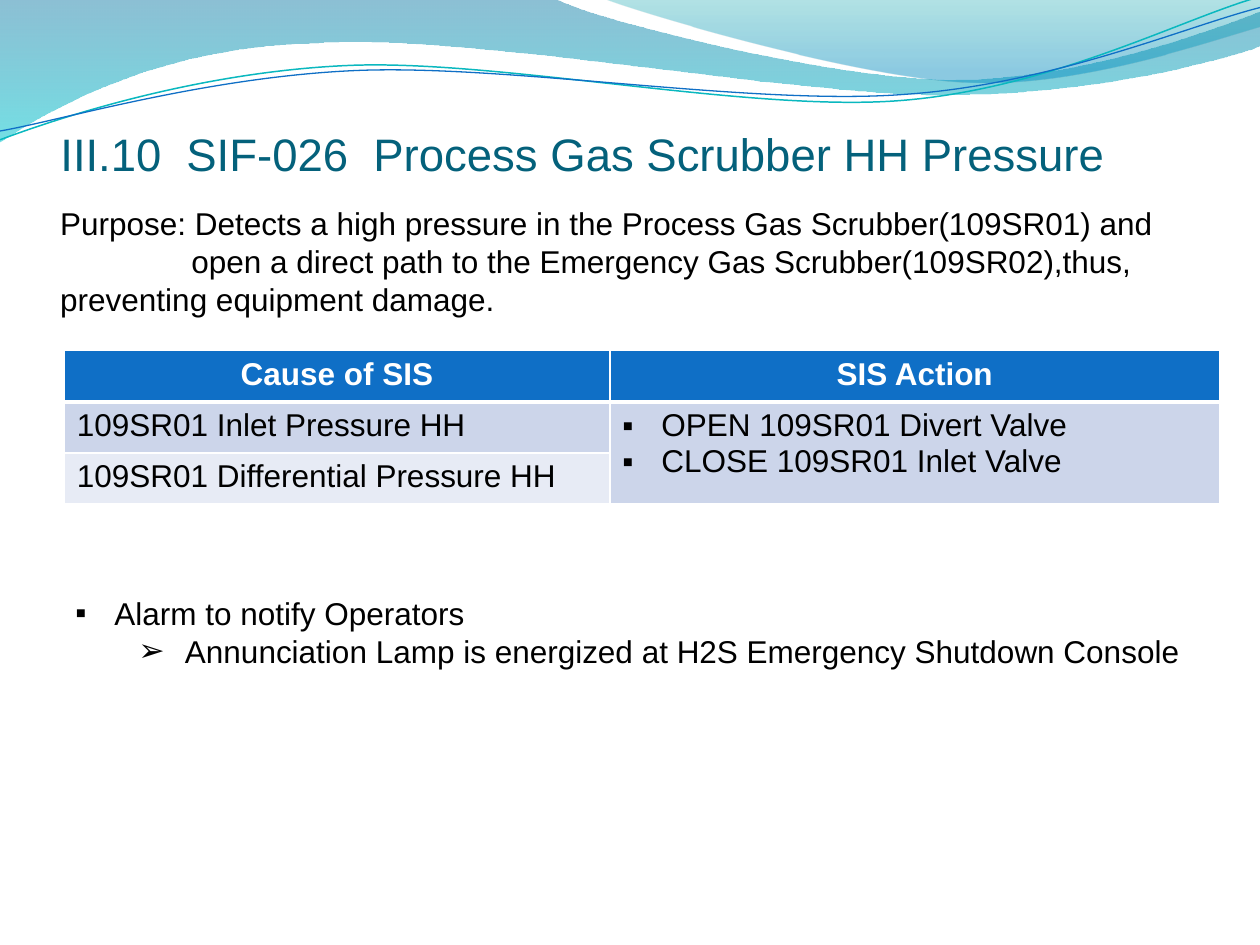
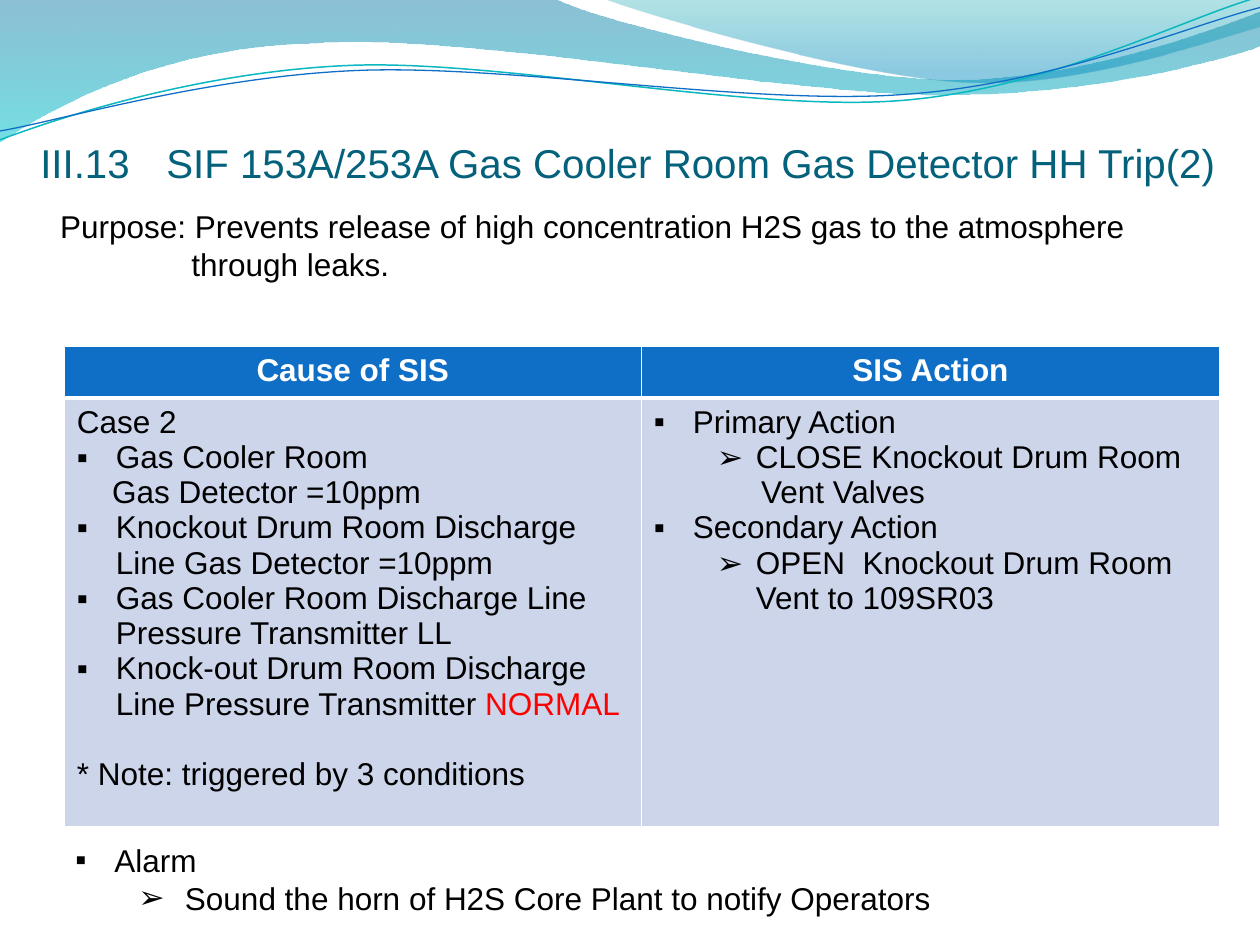
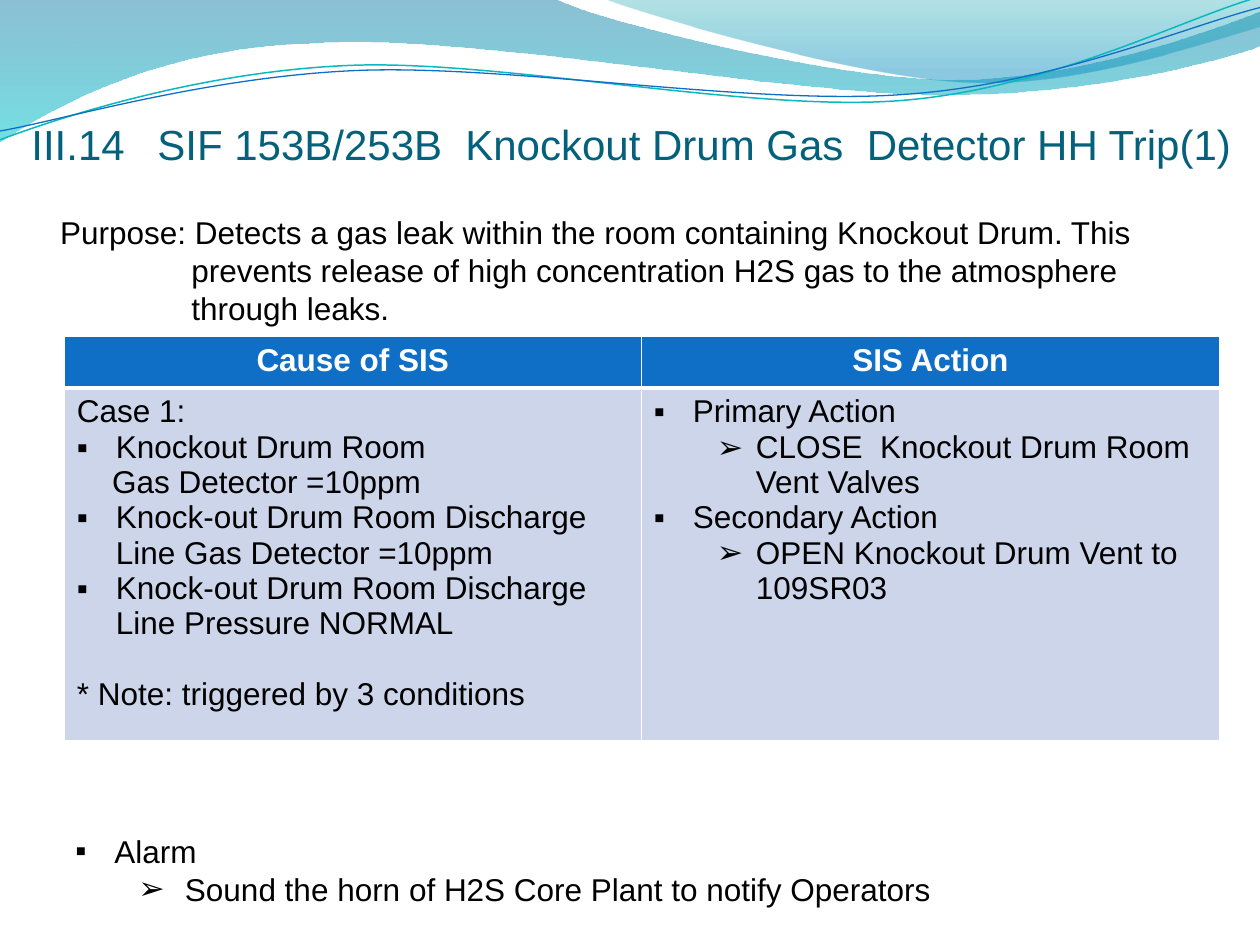
from dataclasses import dataclass

from lxml import etree
from pptx import Presentation
from pptx.dml.color import RGBColor
from pptx.enum.text import MSO_ANCHOR, PP_ALIGN
from pptx.oxml.ns import qn
from pptx.util import Inches, Pt

CENTER = PP_ALIGN.CENTER
BOTTOM = MSO_ANCHOR.BOTTOM


@dataclass(frozen=True)
class Theme:
    font: str = "Arial"
    body_size: float = 18
    line_pitch: float = 21.7
    title: str = "04617B"
    text: str = "000000"
    alert: str = "FF0000"
    white: str = "FFFFFF"
    header: str = "0F6FC6"
    row_fills: tuple = ("CCD5EA", "E7EBF5")
    rule: float = 1
    header_rule: float = 3


THEME = Theme()

# Grid of 10 columns by 7.5 rows, each one unit square
SLIDE_W, SLIDE_H = Inches(10), Inches(7.5)
UNIT = SLIDE_W / 10
MARGIN, TEXT_W = 0.38, 9.33
TABLE_X, TABLE_W, HEADER_H = 0.51, 9.17, 0.41
TITLE_H, ALARM_X, ALARM_H = 0.83, 0.5, 0.71

# Paragraph style: left margin, first-line indent, bullet, level, space before
STYLES = {
    "plain": (0, 0, None, 0, 0),
    "hang": (0, 1.04, None, 0, 0),
    "item": (0.31, -0.31, "▪", 0, 0),
    "detail": (0.28, 0, None, 0, 0),
    "step": (0.81, -0.31, "➢", 1, 0),
    "step detail": (0.85, 0, None, 1, 0),
    "notice": (0.87, -0.37, "➢", 1, 0),
    "note": (0, 0, None, 0, 20.1),
}

# Each segment is one end point, or two control points and an end point
BANDS = [
    ((0, 0),
     [[(4.4, -0.01)],
      [(4.76, 0.17), (6.64, 0.63), (7.58, 0.63)],
      [(8.53, 0.63), (9.58, 0.26), (10, 0.09)],
      [(10.01, 0.36)],
      [(9.83, 0.44), (8.7, 0.76), (7.46, 0.75)],
      [(6.22, 0.75), (3.82, 0.28), (2.57, 0.34)],
      [(1.29, 0.36), (0.46, 0.83), (-0.01, 1.13)],
      [(0, 0)]],
     [(0, "0074A1", 45), (1, "00C6CF", 55)]),
    ((4.79, -0.01),
     [[(5.09, 0.11), (6.82, 0.62), (7.69, 0.65)],
      [(8.56, 0.69), (9.61, 0.32), (10, 0.21)],
      [(10, 0)],
      [(4.79, -0.01)]],
     [(0, "00A1A9", 30), (0.8, "008BBF", 45)]),
]
WAVES = [
    ((0, 1.11),
     [[(0.48, 0.93), (1.58, 0.57), (2.77, 0.52)],
      [(3.95, 0.47), (5.93, 0.89), (7.13, 0.8)],
      [(8.33, 0.71), (9.38, 0.15), (9.98, -0.02)]],
     ("0AB8BF", 0.85)),
    ((0, 1.04),
     [[(0.47, 0.96), (1.64, 0.61), (2.83, 0.56)],
      [(4.03, 0.51), (5.97, 0.84), (7.17, 0.75)],
      [(8.36, 0.67), (9.41, 0.21), (10, 0.06)]],
     ("0F6FC6", 0.75)),
]

NOTE = ("note", "* Note: triggered by 3 conditions")
HORN_ALARM = [
    ("item", "Alarm"),
    ("notice", "Sound the horn of H2S Core Plant to notify Operators"),
]

FUNCTIONS = [
    dict(
        title="III.10\tSIF-026  Process Gas Scrubber HH Pressure",
        title_box=(0.48, 0.6, 9.23), title_size=26, title_tab=1,
        purpose_y=1.57, purpose_h=1.01,
        purpose=[
            ("plain", "Purpose: Detects a high pressure in the Process Gas Scrubber(109SR01) and"),
            ("hang", "open a direct path to the Emergency Gas Scrubber(109SR02),thus, "
                     "preventing equipment damage."),
        ],
        table_y=2.78, table_h=1.22, cause_w=4.33,
        causes=[
            [("plain", "109SR01 Inlet Pressure HH")],
            [("plain", "109SR01 Differential Pressure HH")],
        ],
        actions=[
            ("item", "OPEN 109SR01 Divert Valve"),
            ("item", "CLOSE 109SR01 Inlet Valve"),
        ],
        alarm_y=4.66, alarm_w=9,
        alarm=[
            ("item", "Alarm to notify Operators"),
            ("notice", "Annunciation Lamp is energized at H2S Emergency Shutdown Console"),
        ],
    ),
    dict(
        title="III.13\tSIF 153A/253A Gas Cooler Room Gas Detector HH Trip(2)",
        title_box=(0.32, 0.65, 9.67), title_size=23, title_tab=0.96,
        purpose_y=1.59, purpose_h=0.71,
        purpose=[
            ("plain", "Purpose: Prevents release of high concentration H2S gas to the atmosphere"),
            ("hang", "through leaks."),
        ],
        table_y=2.75, table_h=3.81, cause_w=4.58,
        causes=[[
            ("plain", "Case 2"),
            ("item", "Gas Cooler Room"),
            ("detail", "Gas Detector =10ppm"),
            ("item", "Knockout Drum Room Discharge Line Gas Detector =10ppm"),
            ("item", "Gas Cooler Room Discharge Line Pressure Transmitter LL"),
            ("item", "Knock-out Drum Room Discharge Line Pressure Transmitter ", "NORMAL"),
            NOTE,
        ]],
        actions=[
            ("item", "Primary Action"),
            ("step", "CLOSE Knockout Drum Room"),
            ("step detail", "Vent Valves"),
            ("item", "Secondary Action"),
            ("step", "OPEN  Knockout Drum Room Vent to 109SR03"),
        ],
        alarm_y=6.62, alarm_w=7.93, alarm=HORN_ALARM,
    ),
    dict(
        title="III.14\tSIF 153B/253B  Knockout Drum Gas  Detector HH Trip(1)",
        title_box=(0.25, 0.51, 9.67), title_size=24, title_tab=1.03,
        purpose_y=1.64, purpose_h=1.01,
        purpose=[
            ("plain", "Purpose: Detects a gas leak within the room containing Knockout Drum. This"),
            ("hang", "prevents release of high concentration H2S gas to the atmosphere"),
            ("hang", "through leaks."),
        ],
        table_y=2.67, table_h=3.21, cause_w=4.58,
        causes=[[
            ("plain", "Case 1:"),
            ("item", "Knockout Drum Room"),
            ("detail", "Gas Detector =10ppm"),
            ("item", "Knock-out Drum Room Discharge Line Gas Detector =10ppm"),
            ("item", "Knock-out Drum Room Discharge Line Pressure NORMAL"),
            NOTE,
        ]],
        actions=[
            ("item", "Primary Action"),
            ("step", "CLOSE  Knockout Drum Room Vent Valves"),
            ("item", "Secondary Action"),
            ("step", "OPEN Knockout Drum Vent to 109SR03"),
        ],
        alarm_y=6.55, alarm_w=7.93, alarm=HORN_ALARM,
    ),
]


def write(frame, entries, size=THEME.body_size, color=THEME.text, bold=False,
          align=None, pitch=None, tab=None):
    """Fill a text frame with (style, text[, alert text]) entries."""
    frame.word_wrap = True
    for number, (style, text, *alerts) in enumerate(entries):
        paragraph = frame.add_paragraph() if number else frame.paragraphs[0]
        margin, indent, bullet, level, space = STYLES[style]
        props = paragraph._p.get_or_add_pPr()
        props.set("marL", str(round(margin * UNIT)))
        props.set("indent", str(round(indent * UNIT)))
        if bullet:
            etree.SubElement(props, qn("a:buFont"), typeface=THEME.font)
            etree.SubElement(props, qn("a:buChar"), char=bullet)
        if tab:
            stops = etree.SubElement(props, qn("a:tabLst"))
            etree.SubElement(stops, qn("a:tab"), pos=str(round(tab * UNIT)), algn="l")
        paragraph.level = level
        paragraph.alignment = align
        if space:
            paragraph.space_before = Pt(space)
        if pitch:
            paragraph.line_spacing = Pt(pitch)
        font = paragraph.font
        font.name, font.size, font.bold = THEME.font, Pt(size), bold
        font.color.rgb = RGBColor.from_string(color)
        paragraph.add_run().text = text
        for alert in alerts:
            run = paragraph.add_run()
            run.text = alert
            run.font.color.rgb = RGBColor.from_string(THEME.alert)


def trace(shapes, start, segments, closed):
    """Draw an outline of straight and cubic segments."""
    points = [(x * UNIT, y * UNIT) for x, y in [start, *sum(segments, [])]]
    builder = shapes.build_freeform(*points[0])
    builder.add_line_segments(points[1:], close=closed)
    outline = builder.convert_to_shape()
    outline.shadow.inherit = False
    steps = iter(list(outline._element.iter(qn("a:lnTo"))))
    for segment in segments:
        corners = [next(steps) for _ in segment]
        if len(corners) == 3:
            curve = etree.Element(qn("a:cubicBezTo"))
            corners[0].addprevious(curve)
            for corner in corners:
                curve.append(corner[0])
                corner.getparent().remove(corner)
    return outline


prs = Presentation()
prs.slide_width, prs.slide_height = SLIDE_W, SLIDE_H
blank = prs.slide_layouts[6]
slides = [prs.slides.add_slide(blank) for _ in FUNCTIONS]

# The wave header is drawn once and moved to the layout that all slides share
header_art = []
for start, segments, stops in BANDS:
    band = trace(slides[0].shapes, start, segments, closed=True)
    band.fill.gradient()
    band.fill.gradient_angle = 270
    for stop, (position, color, _) in zip(band.fill.gradient_stops, stops):
        stop.position = position
        stop.color.rgb = RGBColor.from_string(color)
    tints = list(band._element.spPr.iter(qn("a:srgbClr")))
    for tint, (_, _, opacity) in zip(tints, stops):
        etree.SubElement(tint, qn("a:alpha"), val=str(opacity * 1000))
    band.line.fill.background()
    header_art.append(band)
for start, segments, (color, width) in WAVES:
    wave = trace(slides[0].shapes, start, segments, closed=False)
    wave.fill.background()
    wave.line.color.rgb = RGBColor.from_string(color)
    wave.line.width = Pt(width)
    header_art.append(wave)
for art in header_art:
    blank.shapes._spTree.append(art._element)

for slide, sif in zip(slides, FUNCTIONS):
    x, y, width = sif["title_box"]
    boxes = [
        (x, y, width, TITLE_H, [("plain", sif["title"])],
         dict(size=sif["title_size"], color=THEME.title, tab=sif["title_tab"])),
        (MARGIN, sif["purpose_y"], TEXT_W, sif["purpose_h"], sif["purpose"],
         dict(pitch=THEME.line_pitch)),
        (ALARM_X, sif["alarm_y"], sif["alarm_w"], ALARM_H, sif["alarm"],
         dict(pitch=THEME.line_pitch)),
    ]
    frames = []
    for *place, entries, look in boxes:
        frame = slide.shapes.add_textbox(*(round(v * UNIT) for v in place)).text_frame
        write(frame, entries, **look)
        frames.append(frame)
    title = frames[0]
    title.vertical_anchor = BOTTOM
    title.margin_left = title.margin_right = title.margin_bottom = 0

    causes = sif["causes"]
    place = (TABLE_X, sif["table_y"], TABLE_W, sif["table_h"])
    table = slide.shapes.add_table(len(causes) + 1, 2, *(round(v * UNIT) for v in place)).table
    table.columns[0].width = round(sif["cause_w"] * UNIT)
    table.columns[1].width = round((TABLE_W - sif["cause_w"]) * UNIT)
    cause_h = (sif["table_h"] - HEADER_H) / len(causes)
    for r, row in enumerate(table.rows):
        row.height = round((cause_h if r else HEADER_H) * UNIT)
        fill = THEME.row_fills[(r - 1) % 2] if r else THEME.header
        for cell in row.cells:
            cell.fill.solid()
            cell.fill.fore_color.rgb = RGBColor.from_string(fill)
            cell_props = cell._tc.get_or_add_tcPr()
            for order, side in enumerate("LRTB"):
                under_header = (r, side) in ((0, "B"), (1, "T"))
                rule = THEME.header_rule if under_header else THEME.rule
                edge = etree.Element(qn(f"a:ln{side}"), w=str(Pt(rule)))
                paint = etree.SubElement(edge, qn("a:solidFill"))
                etree.SubElement(paint, qn("a:srgbClr"), val=THEME.white)
                cell_props.insert(order, edge)

    for column, heading in enumerate(("Cause of SIS", "SIS Action")):
        write(table.cell(0, column).text_frame, [("plain", heading)],
              color=THEME.white, bold=True, align=CENTER)
    for r, cause in enumerate(causes, start=1):
        write(table.cell(r, 0).text_frame, cause)
    if len(causes) > 1:
        table.cell(1, 1).merge(table.cell(len(causes), 1))
    write(table.cell(1, 1).text_frame, sif["actions"])

prs.save("out.pptx")
